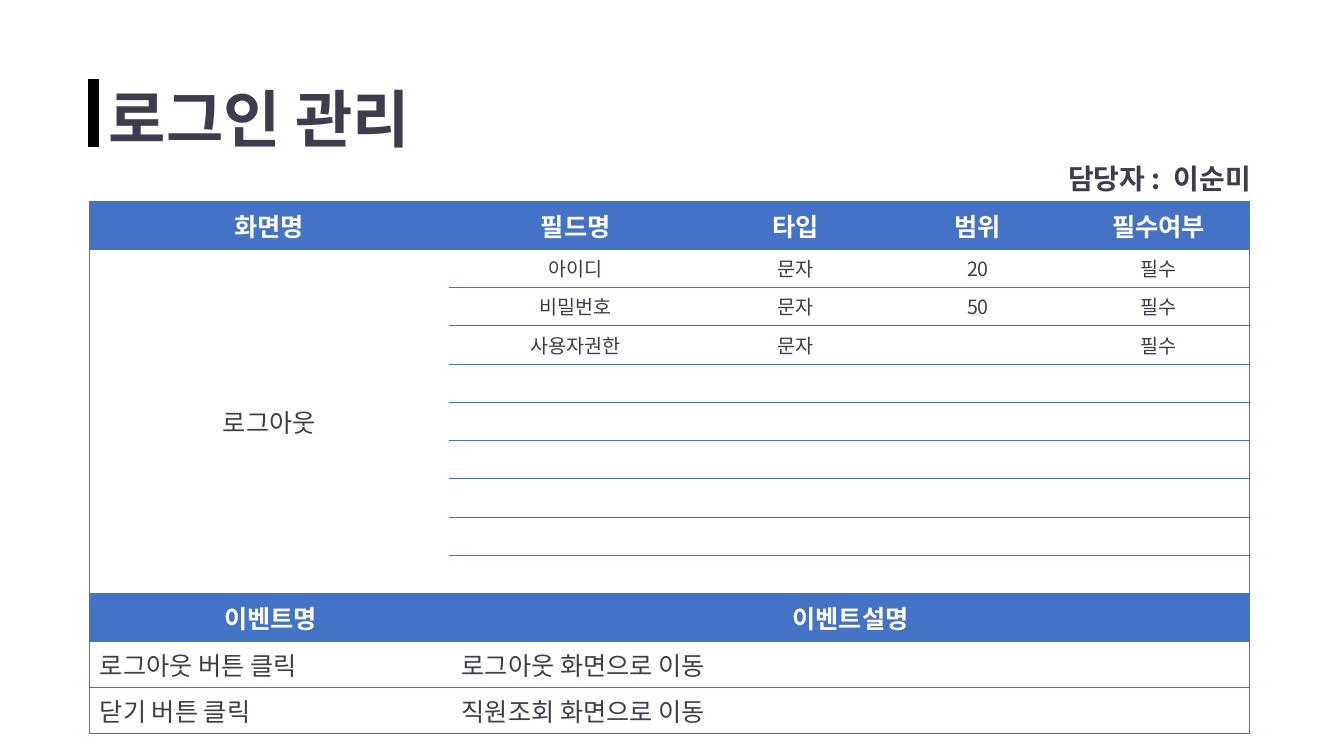
"""Build the login management slide: a field table above an event table."""
import pptx
import pptx.util
import pptx.dml.color
import pptx.enum.shapes
import pptx.enum.text
import pptx.oxml.ns
from lxml import etree

PX = 9144
FONT = "Noto Sans CJK KR"
BLUE = pptx.dml.color.RGBColor(0x44, 0x72, 0xC4)
INK = pptx.dml.color.RGBColor(0x40, 0x3C, 0x4E)
WHITE = pptx.dml.color.RGBColor(0xFF, 0xFF, 0xFF)
BLACK = pptx.dml.color.RGBColor(0x00, 0x00, 0x00)
ALIGN = pptx.enum.text.PP_ALIGN
ANCHOR = pptx.enum.text.MSO_ANCHOR
SIDES = {"left": "a:lnL", "right": "a:lnR", "top": "a:lnT", "bottom": "a:lnB"}

FIELD_ROWS = [
    ["화면명", "필드명", "타입", "범위", "필수여부"],
    ["로그아웃", "아이디", "문자", "20", "필수"],
    ["", "비밀번호", "문자", "50", "필수"],
    ["", "사용자권한", "문자", "", "필수"],
] + [[""] * 5] * 6
EVENT_ROWS = [
    ["이벤트명", "이벤트설명"],
    ["로그아웃 버튼 클릭", "로그아웃 화면으로 이동"],
    ["닫기 버튼 클릭", "직원조회 화면으로 이동"],
]


def px(*lengths):
    return [pptx.util.Emu(length * PX) for length in lengths]


def apply_format(target, values):
    for name, value in values.items():
        setattr(target, name, value)


def add_child(parent, tag, **attributes):
    return etree.SubElement(parent, pptx.oxml.ns.qn(tag), attributes)


def write_text(text_frame, text, size, color, bold, paragraph_format):
    paragraph = text_frame.paragraphs[0]
    apply_format(paragraph, paragraph_format)
    run = paragraph.add_run()
    run.text = text
    apply_format(run.font, {"name": FONT, "size": pptx.util.Pt(size), "bold": bold})
    run.font.color.rgb = color
    add_child(run.font._element, "a:ea", typeface=FONT)


def format_heading(shape, text, box, size, alignment):
    apply_format(shape, dict(zip(("left", "top", "width", "height"), px(*box))))
    apply_format(shape.text_frame, {
        "margin_left": 0, "margin_right": 0, "margin_top": 0, "margin_bottom": 0,
        "word_wrap": False, "vertical_anchor": ANCHOR.TOP,
        "auto_size": pptx.enum.text.MSO_AUTO_SIZE.NONE,
    })
    write_text(shape.text_frame, text, size, INK, True, {
        "alignment": alignment, "line_spacing": pptx.util.Pt(55.5),
        "space_before": pptx.util.Pt(0),
    })


def add_bar(slide, box):
    bar = slide.shapes.add_shape(pptx.enum.shapes.MSO_SHAPE.RECTANGLE, *px(*box))
    bar.shadow.inherit = False
    bar.fill.solid()
    bar.fill.fore_color.rgb = BLACK
    bar.line.color.rgb = BLACK
    bar.line.width = pptx.util.Pt(1)


def format_cell(cell, fill, lined_sides):
    apply_format(cell, {"margin_top": 0, "margin_bottom": 0,
                        "vertical_anchor": ANCHOR.MIDDLE})
    properties = cell._tc.get_or_add_tcPr()
    for side, tag in SIDES.items():
        line = add_child(properties, tag, w=str(pptx.util.Pt(0.5)))
        if side in lined_sides:
            add_child(add_child(line, "a:solidFill"), "a:srgbClr", val=str(BLUE))
        else:
            add_child(line, "a:noFill")
    cell.fill.solid()
    cell.fill.fore_color.rgb = fill


def add_grid(slide, corner, widths, heights, rows, body_alignment, body_size, merged=False):
    frame = slide.shapes.add_table(
        len(rows), len(widths), *px(*corner, sum(widths), sum(heights)))
    table = frame.table
    table.horz_banding = False
    for column, width in zip(table.columns, px(*widths)):
        column.width = width
    for row, height in zip(table.rows, px(*heights)):
        row.height = height
    if merged:
        table.cell(1, 0).merge(table.cell(len(rows) - 1, 0))
    for r, texts in enumerate(rows):
        for c, text in enumerate(texts):
            cell = table.cell(r, c)
            header = r == 0
            sides = set() if cell.is_spanned else {"top", "bottom"}
            if c == 0:
                sides.add("left")
            if c == len(widths) - 1:
                sides.add("right")
            format_cell(cell, BLUE if header else WHITE, sides)
            if not cell.is_spanned:
                size = 18 if header or cell.is_merge_origin else body_size
                write_text(cell.text_frame, text, size, WHITE if header else INK, header,
                           {"alignment": ALIGN.CENTER if header else body_alignment})


def main():
    presentation = pptx.Presentation()
    presentation.slide_width, presentation.slide_height = px(1333, 750)
    slide = presentation.slides.add_slide(presentation.slide_layouts[5])
    add_grid(slide, (89, 200), (356, 252, 184, 178, 180), [47] + [38] * 9,
             FIELD_ROWS, ALIGN.CENTER, 14, merged=True)
    format_heading(slide.shapes.title, "로그인 관리", (108, 77, 620, 78), 44.5, ALIGN.LEFT)
    add_grid(slide, (89, 589), (359, 791), (47, 46, 46), EVENT_ROWS, ALIGN.LEFT, 18)
    manager_box = (1011, 116, 230, 78)
    manager = slide.shapes.add_textbox(*px(*manager_box))
    format_heading(manager, "담당자 :  이순미", manager_box, 20, ALIGN.RIGHT)
    add_bar(slide, (88, 79, 10, 66))
    presentation.save("out.pptx")


if __name__ == "__main__":
    main()
